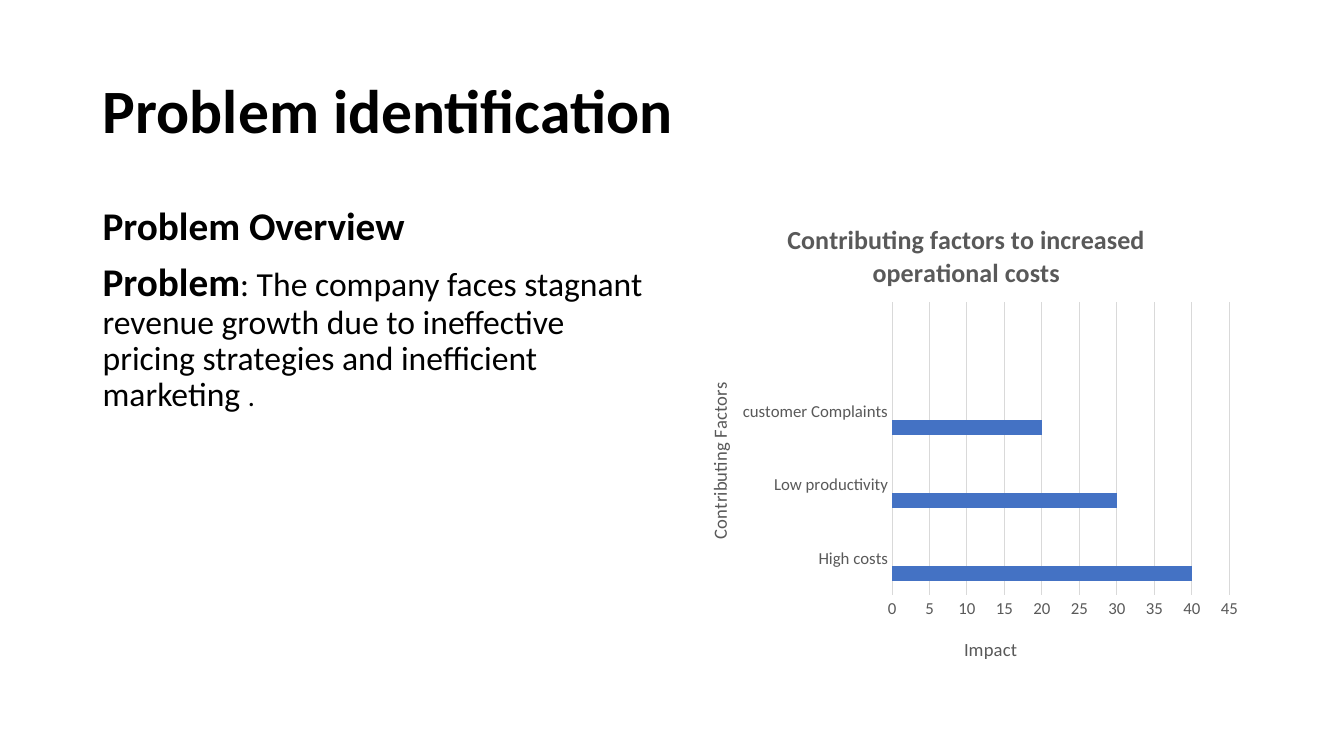
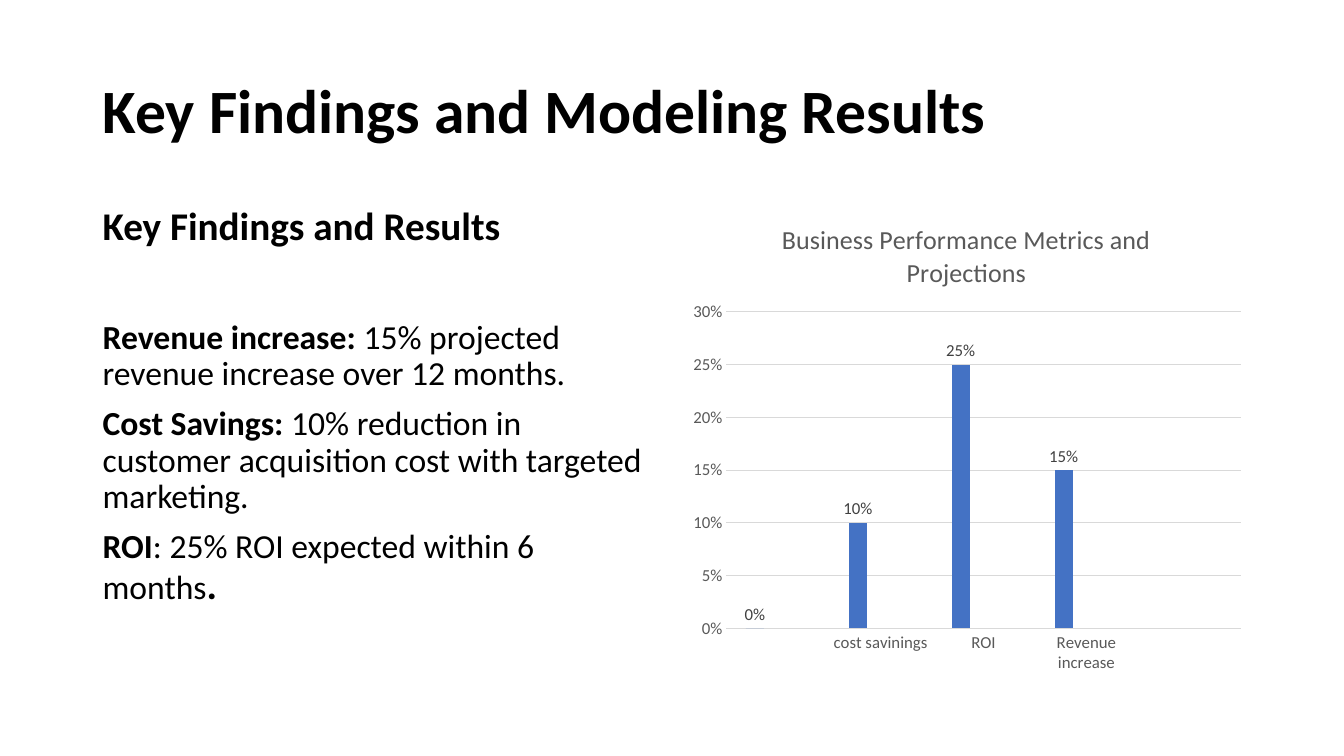
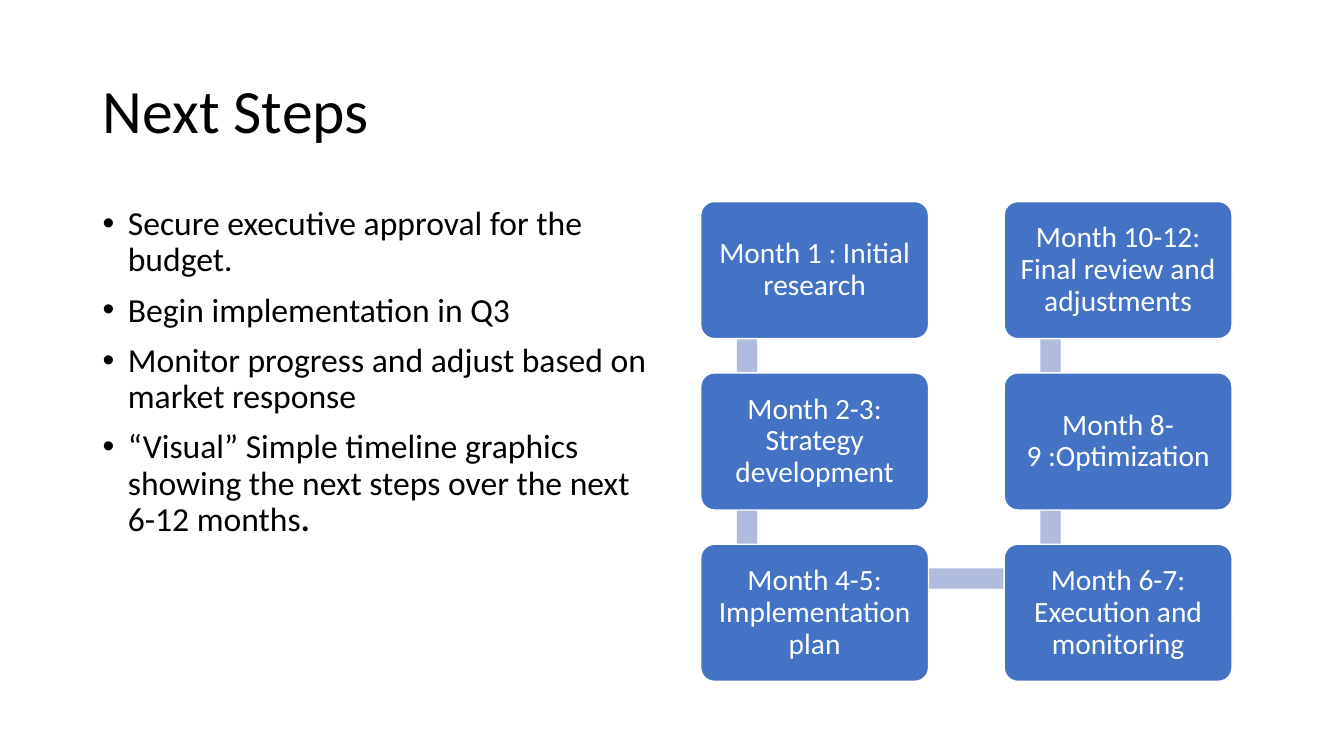
"""Build a three-slide deck: problem, findings with charts, and a snake timeline."""
from lxml import etree
from pptx import Presentation
from pptx.chart.data import CategoryChartData
from pptx.dml.color import RGBColor
from pptx.enum.chart import XL_CHART_TYPE, XL_LABEL_POSITION, XL_TICK_MARK
from pptx.enum.shapes import MSO_SHAPE
from pptx.enum.text import MSO_ANCHOR, MSO_AUTO_SIZE, PP_ALIGN
from pptx.oxml.ns import qn
from pptx.util import Inches, Pt

BAR, COLUMN = XL_CHART_TYPE.BAR_CLUSTERED, XL_CHART_TYPE.COLUMN_CLUSTERED
LEFT, CENTER = PP_ALIGN.LEFT, PP_ALIGN.CENTER
TOP, MIDDLE = MSO_ANCHOR.TOP, MSO_ANCHOR.MIDDLE
RECTANGLE, ROUNDED = MSO_SHAPE.RECTANGLE, MSO_SHAPE.ROUNDED_RECTANGLE
NO_TICK, OUTSIDE = XL_TICK_MARK.NONE, XL_LABEL_POSITION.OUTSIDE_END
NO_FIT = MSO_AUTO_SIZE.NONE

FONT = "Calibri"
BLACK, WHITE, GREY, DARK_GREY, RULE = "000000", "FFFFFF", "595959", "404040", "D9D9D9"
BLUE, PALE_BLUE = "4472C4", "B0BCDE"
SERIES_COLORS = [BLUE, "ED7D31", "A5A5A5"]

TITLE_AREA = (0.92, 0.4, 11.5, 1.45)
LEFT_HALF = (0.92, 2, 5.67, 4.76)
RIGHT_HALF = (6.75, 2, 5.67, 4.76)

STEP_LEFT, STEP_TOP, STEP_WIDTH, STEP_HEIGHT = 6.95, 2, 2.26, 1.36
COLUMN_PITCH, ROW_PITCH, STEP_ROWS = 3.01, 1.7, 3
LINK_X, LINK_Y, LINK_THICKNESS = 0.46, 0.34, 0.2

PROBLEM_TEXT = [
    [("Problem Overview", 28, True)],
    [("Problem", 28, True),
     (": The company faces stagnant revenue growth due to ineffective "
      "pricing strategies and inefficient marketing ", 24, False),
     (".", 20, False)],
]
FINDINGS_TEXT = [
    [("Key Findings and Results", 28, True)],
    [("Revenue increase: ", 24, True),
     ("15% projected revenue increase over 12 months.", 24, False)],
    [("Cost Savings: ", 24, True),
     ("10% reduction in customer acquisition cost with targeted marketing.", 24, False)],
    [("ROI", 24, True), (": 25% ROI expected within 6 months", 24, False),
     (".", 28, False)],
]
NEXT_TEXT = [
    [("Secure executive approval for the budget.", 24, False)],
    [("Begin implementation in Q3", 24, False)],
    [("Monitor progress and adjust based on market response", 24, False)],
    [("“Visual” Simple timeline graphics showing the next steps over the next "
      "6-12 months", 24, False), (".", 24, True)],
]
FINDINGS_TEXT[-1][-1] = (".", 28, True)

FACTORS_CHART = {
    "kind": BAR, "title": "Contributing factors to increased operational costs",
    "bold": True, "gap": 182, "overlap": 0, "format": "General", "labels": False,
    "categories": ["High costs", "Low productivity", "customer Complaints", ""],
    "values": [40, 30, 20, None], "plot": (0.37, 0.21, 0.59, 0.61),
    "axis_titles": [("Contributing Factors", 0.04, 0.37), ("Impact", 0.49, 0.9)],
}
METRICS_CHART = {
    "kind": COLUMN, "title": "Business Performance Metrics and Projections",
    "bold": False, "gap": 219, "overlap": -27, "format": "0%", "labels": True,
    "categories": ["", "cost savinings", "ROI", "Revenue increase", ""],
    "values": [0, 0.1, 0.25, 0.15, None], "plot": (0.08, 0.23, 0.9, 0.66),
    "axis_titles": [],
}
STEPS = [
    "Month 1 : Initial research", "Month 2-3: Strategy development",
    "Month 4-5: Implementation plan", "Month 6-7: Execution and monitoring",
    "Month 8-9 :Optimization", "Month 10-12: Final review and adjustments",
]


def rgb(value):
    """Turn a hex string into a colour."""
    return RGBColor.from_string(value)


def inches(values):
    """Turn plain numbers into lengths."""
    return [Inches(value) for value in values]


def style_font(font, size, color, bold=False):
    """Set the deck's typeface with a size, colour and weight."""
    font.name, font.size, font.bold = FONT, Pt(size), bold
    font.color.rgb = rgb(color)


def write(frame, paragraphs, color=BLACK, align=LEFT, before=0, leading=0.9, bullet=None):
    """Fill a text frame with paragraphs made of (text, size, bold) runs."""
    for index, runs in enumerate(paragraphs):
        para = frame.add_paragraph() if index else frame.paragraphs[0]
        para.alignment, para.line_spacing = align, leading
        para.space_before = Pt(before)
        if bullet:
            properties = para._p.get_or_add_pPr()
            properties.set("marL", str(Inches(0.25)))
            properties.set("indent", str(-Inches(0.25)))
            etree.SubElement(properties, qn("a:buFont"), typeface="Arial")
            etree.SubElement(properties, qn("a:buChar"), char=bullet)
        for text, size, bold in runs:
            span = para.add_run()
            span.text = text
            style_font(span.font, size, color, bold)


def set_frame(frame, anchor):
    """Wrap the text, keep its size and anchor it."""
    frame.word_wrap, frame.auto_size, frame.vertical_anchor = True, NO_FIT, anchor


def add_slide(deck, title, paragraphs, bold=True, bullet=None):
    """Add a slide with its title and the text of its left half."""
    slide = deck.slides.add_slide(deck.slide_layouts[5])
    heading = slide.shapes.title
    heading.left, heading.top, heading.width, heading.height = inches(TITLE_AREA)
    set_frame(heading.text_frame, MIDDLE)
    write(heading.text_frame, [[(title, 44, bold)]])
    body = slide.shapes.add_textbox(*inches(LEFT_HALF)).text_frame
    set_frame(body, TOP)
    write(body, paragraphs, before=10, bullet=bullet)
    return slide, body


def place(parent, **shares):
    """Give a chart part a manual layout in shares of the chart."""
    old = parent.find(qn("c:layout"))
    if old is not None:
        parent.remove(old)
    layout = etree.Element(qn("c:layout"))
    manual = etree.SubElement(layout, qn("c:manualLayout"))
    if "w" in shares:
        etree.SubElement(manual, qn("c:layoutTarget"), val="inner")
    for mode in ("xMode", "yMode"):
        etree.SubElement(manual, qn(f"c:{mode}"), val="edge")
    for name, share in shares.items():
        etree.SubElement(manual, qn(f"c:{name}"), val=str(share))
    parent.insert(0 if parent.find(qn("c:tx")) is None else 1, layout)


def add_chart(slide, content):
    """Draw a clustered chart in the right half of a slide."""
    data = CategoryChartData(number_format=content["format"])
    data.categories = content["categories"]
    blank = [None] * len(content["values"])
    for number, values in enumerate([content["values"], blank, blank], 1):
        data.add_series(f"Series {number}", values)
    chart = slide.shapes.add_chart(content["kind"], *inches(RIGHT_HALF), data).chart
    style_font(chart.font, 10, BLACK)
    chart.has_legend = False
    chart.has_title = True
    write(chart.chart_title.text_frame, [[(content["title"], 18.6, content["bold"])]],
          color=GREY, align=CENTER, leading=1.0)

    plot = chart.plots[0]
    plot.gap_width, plot.overlap, plot.vary_by_categories = content["gap"], content["overlap"], False
    for series, color in zip(plot.series, SERIES_COLORS):
        series.format.fill.solid()
        series.format.fill.fore_color.rgb = rgb(color)
        series.invert_if_negative = False
    if content["labels"]:
        plot.has_data_labels = True
        labels = plot.data_labels
        labels.show_value, labels.position = True, OUTSIDE
        labels.number_format, labels.number_format_is_linked = content["format"], False
        style_font(labels.font, 12, DARK_GREY)

    category_axis, value_axis = axes = chart.category_axis, chart.value_axis
    for axis in axes:
        axis.major_tick_mark = axis.minor_tick_mark = NO_TICK
        style_font(axis.tick_labels.font, 12, GREY)
    value_axis.tick_labels.number_format = content["format"]
    value_axis.tick_labels.number_format_is_linked = False
    value_axis.format.line.fill.background()
    value_axis.has_major_gridlines = True
    for line in (category_axis.format.line, value_axis.major_gridlines.format.line):
        line.color.rgb, line.width = rgb(RULE), Pt(0.75)
    for axis, (text, x, y) in zip(axes, content["axis_titles"]):
        axis.has_title = True
        write(axis.axis_title.text_frame, [[(text, 13.3, False)]],
              color=GREY, align=CENTER, leading=1.0)
        place(axis.axis_title.element, x=x, y=y)
    if content["axis_titles"]:
        frame = category_axis.axis_title.text_frame
        frame._txBody.bodyPr.set("rot", "-5400000")
        frame._txBody.bodyPr.set("vert", "horz")
    place(chart.element.chart.plotArea, **dict(zip("xywh", content["plot"])))


def add_box(slide, kind, area, fill):
    """Add a flat filled shape without an outline."""
    box = slide.shapes.add_shape(kind, *inches(area))
    box.shadow.inherit = False
    box.fill.solid()
    box.fill.fore_color.rgb = rgb(fill)
    box.line.fill.background()
    return box


def add_timeline(slide):
    """Draw the steps down the first column and up the second, with links behind."""
    corners = []
    for index in range(len(STEPS)):
        column, row = divmod(index, STEP_ROWS)
        if column % 2:
            row = STEP_ROWS - 1 - row
        corners.append((STEP_LEFT + column * COLUMN_PITCH, STEP_TOP + row * ROW_PITCH))
    half = LINK_THICKNESS / 2
    for (x1, y1), (x2, y2) in zip(corners, corners[1:]):
        area = (min(x1, x2) + LINK_X - half, min(y1, y2) + LINK_Y - half,
                abs(x2 - x1) + LINK_THICKNESS, abs(y2 - y1) + LINK_THICKNESS)
        add_box(slide, RECTANGLE, area, PALE_BLUE)
    for text, corner in zip(STEPS, corners):
        step = add_box(slide, ROUNDED, (*corner, STEP_WIDTH, STEP_HEIGHT), BLUE)
        step.adjustments[0] = 0.1
        step.line.color.rgb, step.line.width = rgb(WHITE), Pt(1)
        frame = step.text_frame
        set_frame(frame, MIDDLE)
        frame.margin_left = frame.margin_right = Inches(0.09)
        frame.margin_top = frame.margin_bottom = Inches(0.09)
        write(frame, [[(text, 21, False)]], color=WHITE, align=CENTER)


def main():
    """Build and save the deck."""
    deck = Presentation()
    deck.slide_width, deck.slide_height = Inches(13.33), Inches(7.5)
    slide, _ = add_slide(deck, "Problem identification", PROBLEM_TEXT)
    add_chart(slide, FACTORS_CHART)
    slide, body = add_slide(deck, "Key Findings and Modeling Results", FINDINGS_TEXT)
    body.paragraphs[1].space_before = Pt(51)
    add_chart(slide, METRICS_CHART)
    slide, _ = add_slide(deck, "Next Steps", NEXT_TEXT, bold=False, bullet="•")
    add_timeline(slide)
    deck.save("out.pptx")


if __name__ == "__main__":
    main()
